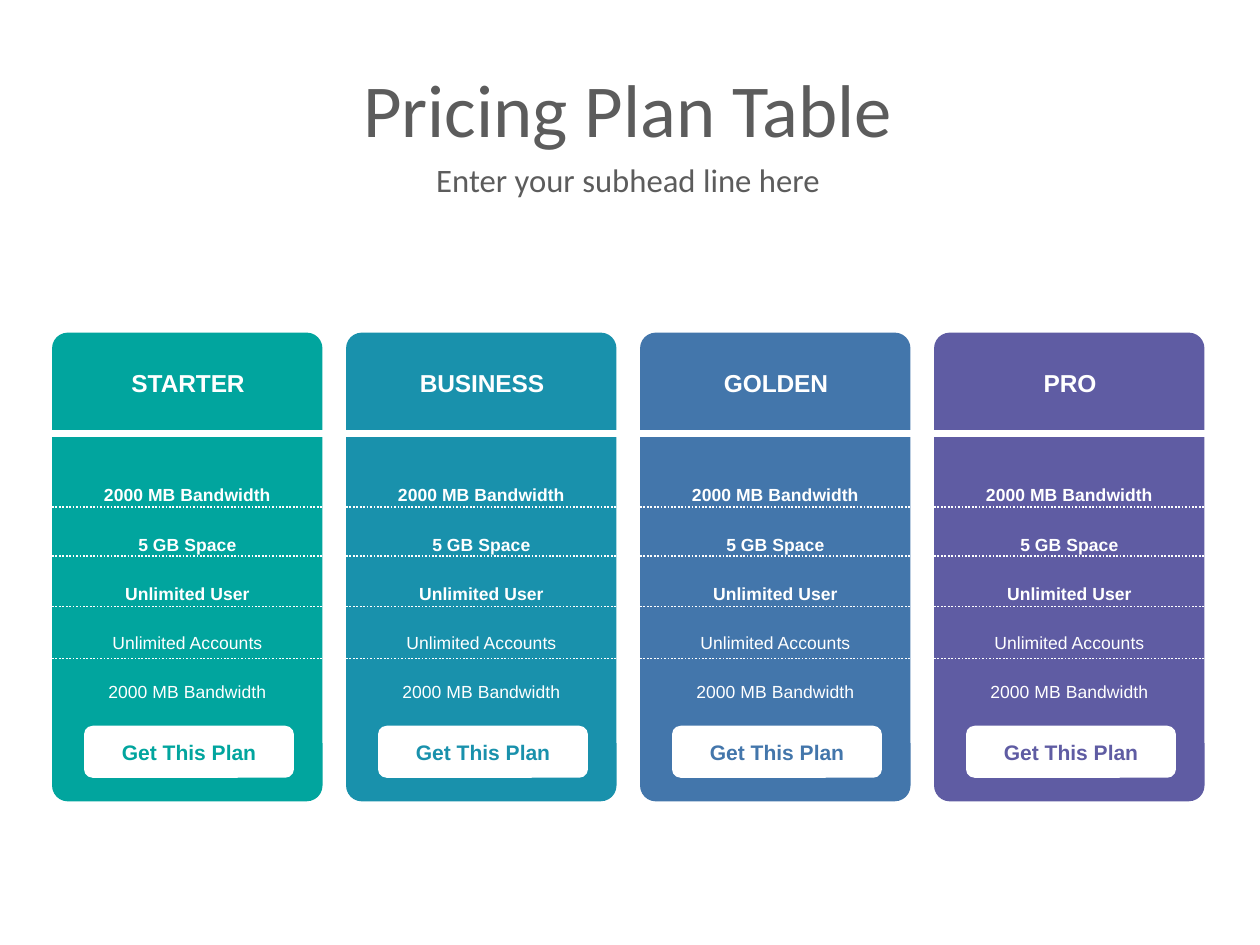
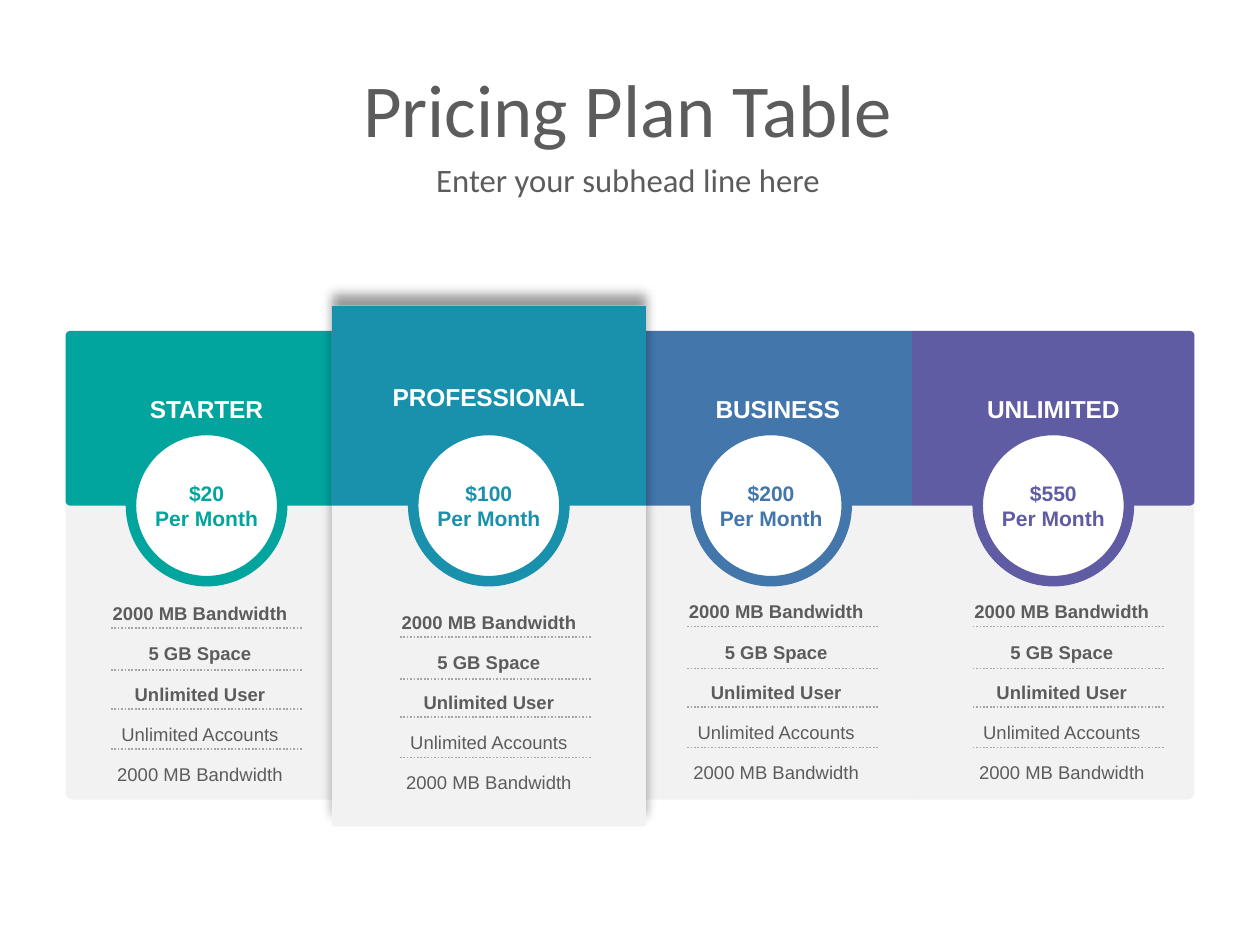
"""Build two pricing plan slides: four separate cards, and a joined table with one raised plan."""
from lxml import etree
from pptx import Presentation
from pptx.dml.color import RGBColor
from pptx.enum import dml, shapes, text
from pptx.oxml import ns
from pptx.util import Inches, Pt

TEAL, CYAN, BLUE, PURPLE = "01A59E", "1991AC", "4376AB", "5F5CA3"
WHITE, PALE, SILVER, GREY = "FFFFFF", "F2F2F2", "A6A6A6", "5C5C5C"
FEATURES = ["2000 MB Bandwidth", "5 GB Space", "Unlimited User",
            "Unlimited Accounts", "2000 MB Bandwidth"]
RECT = shapes.MSO_SHAPE.RECTANGLE
ROUNDED = shapes.MSO_SHAPE.ROUNDED_RECTANGLE
ROUNDED_END = shapes.MSO_SHAPE.ROUND_2_SAME_RECTANGLE
rgb = RGBColor.from_string


def write(box, lines, size, colour, font="Arial", bold=3, inset=0, spacing=1, gap=0,
          anchor=text.MSO_ANCHOR.MIDDLE):
    """Fill a shape with centred lines, the first few of them bold."""
    frame = box.text_frame
    frame.text = "\n".join(lines)
    frame.word_wrap = True
    frame.auto_size = text.MSO_AUTO_SIZE.NONE
    frame.vertical_anchor = anchor
    frame.margin_left = frame.margin_right = Inches(inset)
    frame.margin_top = frame.margin_bottom = Inches(inset)
    for index, para in enumerate(frame.paragraphs):
        para.alignment = text.PP_ALIGN.CENTER
        para.line_spacing = spacing
        para.space_before = Pt(gap if index else 0)
        for span in para.runs:
            span.font.name = font
            span.font.size = Pt(size)
            span.font.bold = index < bold
            span.font.color.rgb = rgb(colour)


def add_rule(page, left, top, width, colour, weight=0.75, dash=dml.MSO_LINE.ROUND_DOT):
    """Draw a horizontal line, dotted by default."""
    rule = page.shapes.add_connector(shapes.MSO_CONNECTOR.STRAIGHT, Inches(left), Inches(top),
                                     Inches(left + width), Inches(top))
    rule.line.color.rgb = rgb(colour)
    rule.line.width = Pt(weight)
    rule.line.dash_style = dash
    etree.SubElement(rule._element.spPr, ns.qn("a:effectLst"))


deck = Presentation()
deck.slide_width, deck.slide_height = Inches(7.5), Inches(7.5 * 3 / 4)
pages = []
for number in range(2):
    page = deck.slides.add_slide(deck.slide_layouts[5])
    title = page.shapes.title
    title.left, title.top, title.width, title.height = map(Inches, (0.31, 0.37, 6.86, 0.54))
    write(title, ["Pricing Plan Table"], 32, GREY, "Calibri", bold=0)
    subhead = page.shapes.add_textbox(*map(Inches, (0.31, 0.97, 6.86, 0.19)))
    write(subhead, ["Enter your subhead line here"], 14, GREY, "Calibri", bold=0)
    pages.append(page)
cards_page, table_page = pages

cards = [("STARTER", TEAL), ("BUSINESS", CYAN), ("GOLDEN", BLUE), ("PRO", PURPLE)]
for column, (name, colour) in enumerate(cards):
    left = 0.31 + 1.75 * column
    card = cards_page.shapes.add_shape(ROUNDED, *map(Inches, (left, 1.98, 1.61, 2.79)))
    card.adjustments[0] = 0.058
    button = cards_page.shapes.add_shape(ROUNDED, *map(Inches, (left + 0.19, 4.32, 1.25, 0.31)))
    for shape, fill in ((card, colour), (button, WHITE)):
        shape.shadow.inherit = False
        shape.fill.solid()
        shape.fill.fore_color.rgb = rgb(fill)
        shape.line.fill.background()
    write(button, ["Get This Plan"], 9, colour)
    add_rule(cards_page, left, 2.58, 1.62, WHITE, 3, dml.MSO_LINE.SOLID)
    heading = cards_page.shapes.add_textbox(*map(Inches, (left + 0.21, 2.19, 1.2, 0.18)))
    write(heading, [name], 10.5, WHITE)
    features = cards_page.shapes.add_textbox(*map(Inches, (left, 2.71, 1.61, 1.53)))
    write(features, FEATURES, 7.5, WHITE, inset=0.05, spacing=2, gap=3,
          anchor=text.MSO_ANCHOR.TOP)
    for top in (3.02, 3.31, 3.61, 3.92):
        add_rule(cards_page, left, top, 1.62, WHITE)

plans = [
    (0, "STARTER", "$20", TEAL, ROUNDED_END, 270, 0, 0.54, 3.47),
    (2, "BUSINESS", "$200", BLUE, RECT, 0, 0.04, 3.97, 3.46),
    (3, "UNLIMITED", "$550", PURPLE, ROUNDED_END, 90, 0, 5.67, 3.46),
    (1, "PROFESSIONAL", "$100", CYAN, RECT, 0, 0, 2.26, 3.52),
]
for column, name, price, colour, kind, turn, shift, list_left, list_top in plans:
    centre = 1.23 + 1.68 * column
    raised = name == "PROFESSIONAL"
    width, top, full_height = (1.87, 1.82, 3.1) if raised else (1.68, 1.97, 2.79)
    for fill, height in ((PALE, full_height), (colour, 3.01 - top)):
        across, down = (height, width) if turn else (width, height)
        panel = table_page.shapes.add_shape(
            kind, Inches(centre - across / 2), Inches(top + height / 2 - down / 2),
            Inches(across), Inches(down))
        panel.rotation = turn
        if turn:
            panel.adjustments[0] = 0.026
        panel.fill.solid()
        panel.fill.fore_color.rgb = rgb(fill)
        panel.line.fill.background()
        panel.shadow.inherit = False
        if raised and fill == PALE:
            effects = panel._element.spPr.find(ns.qn("a:effectLst"))
            shadow = etree.SubElement(effects, ns.qn("a:outerShdw"), blurRad=str(Pt(5)),
                                      dist=str(Pt(5)), dir="16200000", rotWithShape="0")
            black = etree.SubElement(shadow, ns.qn("a:srgbClr"), val="000000")
            etree.SubElement(black, ns.qn("a:alpha"), val="40000")
    badge = table_page.shapes.add_shape(shapes.MSO_SHAPE.OVAL, Inches(centre - 0.45),
                                        Inches(2.56), Inches(0.9), Inches(0.9))
    badge.shadow.inherit = False
    badge.fill.solid()
    badge.fill.fore_color.rgb = rgb(WHITE)
    badge.line.color.rgb = rgb(colour)
    badge.line.width = Pt(4.5)
    write(badge, [price, "Per Month"], 9, colour)
    badge.text_frame.word_wrap = False
    heading = table_page.shapes.add_textbox(
        Inches(centre - 0.6 + shift), Inches(2.27 if raised else 2.34), Inches(1.2), Inches(0.18))
    write(heading, [name], 10.5, WHITE)
    features = table_page.shapes.add_textbox(*map(Inches, (list_left, list_top, 1.3, 1.26)))
    write(features, FEATURES, 7.9, GREY, inset=0.05, spacing=1.5, gap=3,
          anchor=text.MSO_ANCHOR.TOP)
    for offset in (0.27, 0.52, 0.75, 0.99):
        add_rule(table_page, list_left + 0.12, list_top + offset, 1.14, SILVER)

deck.save("out.pptx")
